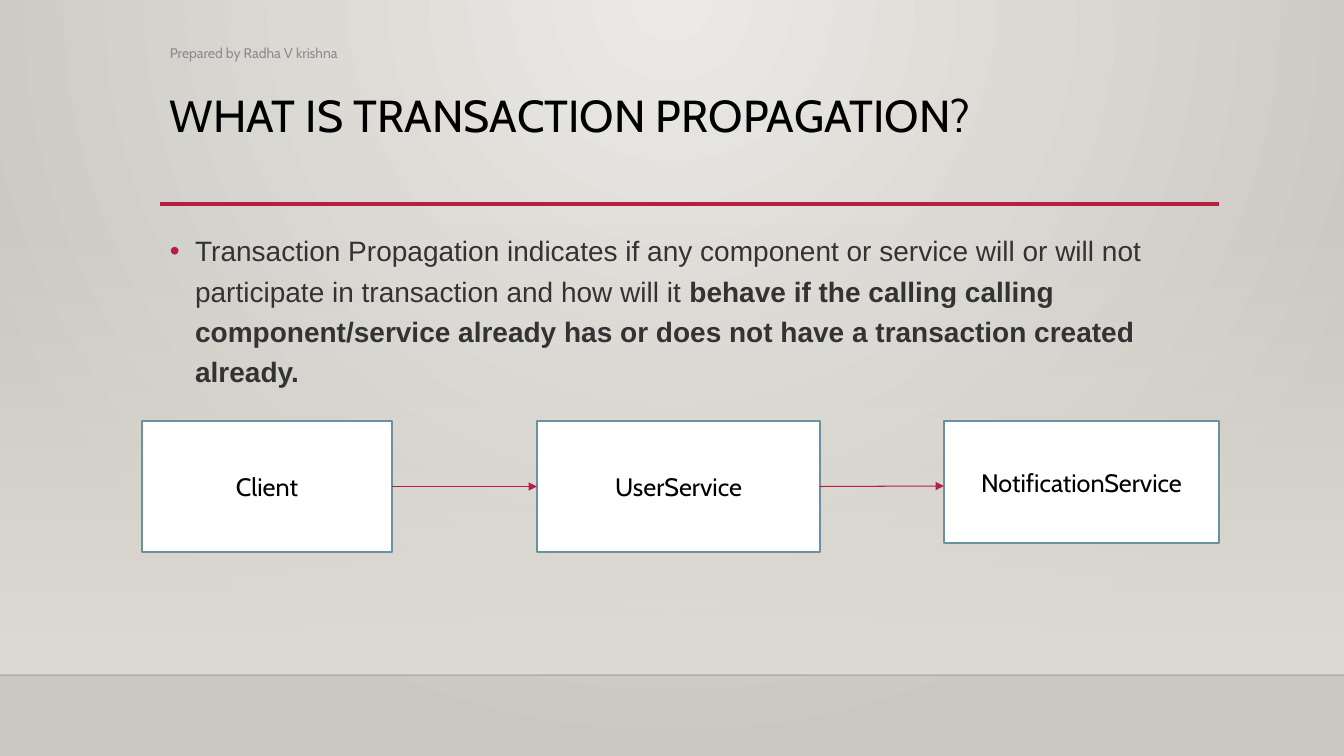
from dataclasses import dataclass

import pptx
import pptx.dml.color
import pptx.enum.dml
import pptx.enum.shapes
import pptx.enum.text
import pptx.oxml
import pptx.oxml.ns
import pptx.util

EMU_PER_PX = 914400 / 100.8
SLIDE_WIDTH, SLIDE_HEIGHT = 1344, 756
COLORS = {
    "glow": "ECEAE7",
    "edge": "CAC7C1",
    "floor": "DFDBD5",
    "horizon": "000001",
    "accent": "B71E42",
    "outline": "6892A0",
    "white": "FFFFFF",
    "black": "000000",
    "body": "333333",
    "credit": "8C8C8C",
}
ANCHOR = pptx.enum.text.MSO_ANCHOR
RECTANGLE = pptx.enum.shapes.MSO_SHAPE.RECTANGLE
LEFT_SIDE, RIGHT_SIDE = 1, 3


@dataclass(frozen=True)
class Area:
    left: int
    top: int
    width: int
    height: int


@dataclass(frozen=True)
class Run:
    text: str
    size: int
    color: str
    font: str = "Cabin"
    bold: bool = False


@dataclass(frozen=True)
class Component:
    name: str
    area: Area


@dataclass(frozen=True)
class Rule:
    left: int
    right: int
    top: int
    color: str
    weight: float


COMPONENTS = [
    Component("Client", Area(142, 421, 250, 131)),
    Component("UserService", Area(537, 421, 283, 131)),
    Component("NotificationService", Area(944, 421, 275, 122)),
]
HORIZON = Rule(0, SLIDE_WIDTH, 675, "horizon", 1)
DIVIDER = Rule(160, 1219, 204, "accent", 2.5)
CALL = Rule(392, 537, 486, "accent", 0.75)
NOTIFY = Rule(820, 944, 486, "accent", 0.75)


def px(length: float) -> pptx.util.Emu:
    return pptx.util.Emu(round(length * EMU_PER_PX))


def place(area: Area) -> tuple:
    return px(area.left), px(area.top), px(area.width), px(area.height)


def rgb(name: str) -> pptx.dml.color.RGBColor:
    return pptx.dml.color.RGBColor.from_string(COLORS[name])


def element(xml: str):
    return pptx.oxml.parse_xml(xml.replace("/>", f' {pptx.oxml.ns.nsdecls("a")}/>', 1)
                               if xml.endswith("/>") and xml.count("<") == 1
                               else xml.replace(">", f' {pptx.oxml.ns.nsdecls("a")}>', 1))


def set_alpha(parent, percents: list) -> None:
    for color, percent in zip(parent.iter(pptx.oxml.ns.qn("a:srgbClr")), percents):
        color.append(element(f'<a:alpha val="{percent * 1000}"/>'))


def fill_gradient(fill, names: list) -> None:
    fill.gradient()
    for stop, name in zip(fill.gradient_stops, names):
        stop.color.rgb = rgb(name)


def paint_background(slide) -> None:
    fill_gradient(slide.background.fill, ["glow", "edge"])
    linear = next(slide.element.iter(pptx.oxml.ns.qn("a:lin")))
    linear.getparent().replace(linear, element(
        '<a:path path="circle"><a:fillToRect l="43000" t="0" r="43000" b="100000"/></a:path>'))


def add_floor(slide) -> None:
    shape = slide.shapes.add_shape(RECTANGLE, *place(Area(0, 223, SLIDE_WIDTH, 452)))
    shape.shadow.inherit = False
    shape.line.fill.background()
    fill_gradient(shape.fill, ["floor", "floor"])
    shape.fill.gradient_angle = 270
    set_alpha(shape.element.spPr, [0, 100])


def add_rule(slide, rule: Rule):
    connector = slide.shapes.add_connector(
        pptx.enum.shapes.MSO_CONNECTOR.STRAIGHT,
        px(rule.left), px(rule.top), px(rule.right), px(rule.top))
    connector.line.color.rgb = rgb(rule.color)
    connector.line.width = pptx.util.Pt(rule.weight)
    connector.element.spPr.append(element("<a:effectLst/>"))
    return connector


def add_arrow(slide, rule: Rule):
    connector = add_rule(slide, rule)
    connector.line._get_or_add_ln().append(element('<a:tailEnd type="triangle"/>'))
    return connector


def add_runs(paragraph, runs: list) -> None:
    for part in runs:
        run = paragraph.add_run()
        run.text = part.text
        run.font.name = part.font
        run.font.size = pptx.util.Pt(part.size)
        run.font.bold = part.bold
        run.font.color.rgb = rgb(part.color)


def add_text(slide, area: Area, runs: list, anchor=ANCHOR.TOP, spacing: float = 1.0):
    frame = slide.shapes.add_textbox(*place(area)).text_frame
    frame.word_wrap = True
    frame.vertical_anchor = anchor
    paragraph = frame.paragraphs[0]
    paragraph.line_spacing = spacing
    add_runs(paragraph, runs)
    return paragraph


def add_bullet(paragraph) -> None:
    properties = paragraph._p.get_or_add_pPr()
    properties.set("marL", "228600")
    properties.set("indent", "-228600")
    properties.append(element(
        f'<a:buClr><a:srgbClr val="{COLORS["accent"]}"/></a:buClr>'))
    properties.append(element('<a:buFont typeface="Arial"/>'))
    properties.append(element('<a:buChar char="•"/>'))


def add_component(slide, component: Component):
    shape = slide.shapes.add_shape(RECTANGLE, *place(component.area))
    shape.shadow.inherit = False
    shape.fill.solid()
    shape.fill.fore_color.rgb = rgb("white")
    shape.line.color.rgb = rgb("outline")
    shape.line.width = pptx.util.Pt(1.25)
    shape.text_frame.vertical_anchor = ANCHOR.MIDDLE
    paragraph = shape.text_frame.paragraphs[0]
    paragraph.alignment = pptx.enum.text.PP_ALIGN.CENTER
    add_runs(paragraph, [Run(component.name, 18, "black")])
    return shape


def main() -> None:
    presentation = pptx.Presentation()
    presentation.slide_width = px(SLIDE_WIDTH)
    presentation.slide_height = px(SLIDE_HEIGHT)
    slide = presentation.slides.add_slide(presentation.slide_layouts[6])
    paint_background(slide)
    add_floor(slide)
    set_alpha(add_rule(slide, HORIZON).element.spPr, [20])
    add_rule(slide, DIVIDER)
    add_text(slide, Area(160, 89, 1058, 116),
             [Run("WHAT IS TRANSACTION PROPAGATION?", 32, "black")], spacing=0.9)
    add_bullet(add_text(slide, Area(160, 222, 1058, 380), [
        Run("Transaction Propagation indicates if any component or service will or will not "
            "participate in transaction and how will it ", 20, "body", "Arial"),
        Run("behave if the calling calling component/service already has or does not have "
            "a transaction created already.", 20, "body", "Arial", True),
    ], spacing=1.2))
    client, user, _ = [add_component(slide, component) for component in COMPONENTS]
    call = add_arrow(slide, CALL)
    call.begin_connect(client, RIGHT_SIDE)
    call.end_connect(user, LEFT_SIDE)
    add_arrow(slide, NOTIFY).begin_connect(user, RIGHT_SIDE)
    add_text(slide, Area(160, 36, 654, 34),
             [Run("Prepared by Radha V krishna", 10, "credit")], ANCHOR.MIDDLE)
    presentation.save("out.pptx")


if __name__ == "__main__":
    main()
